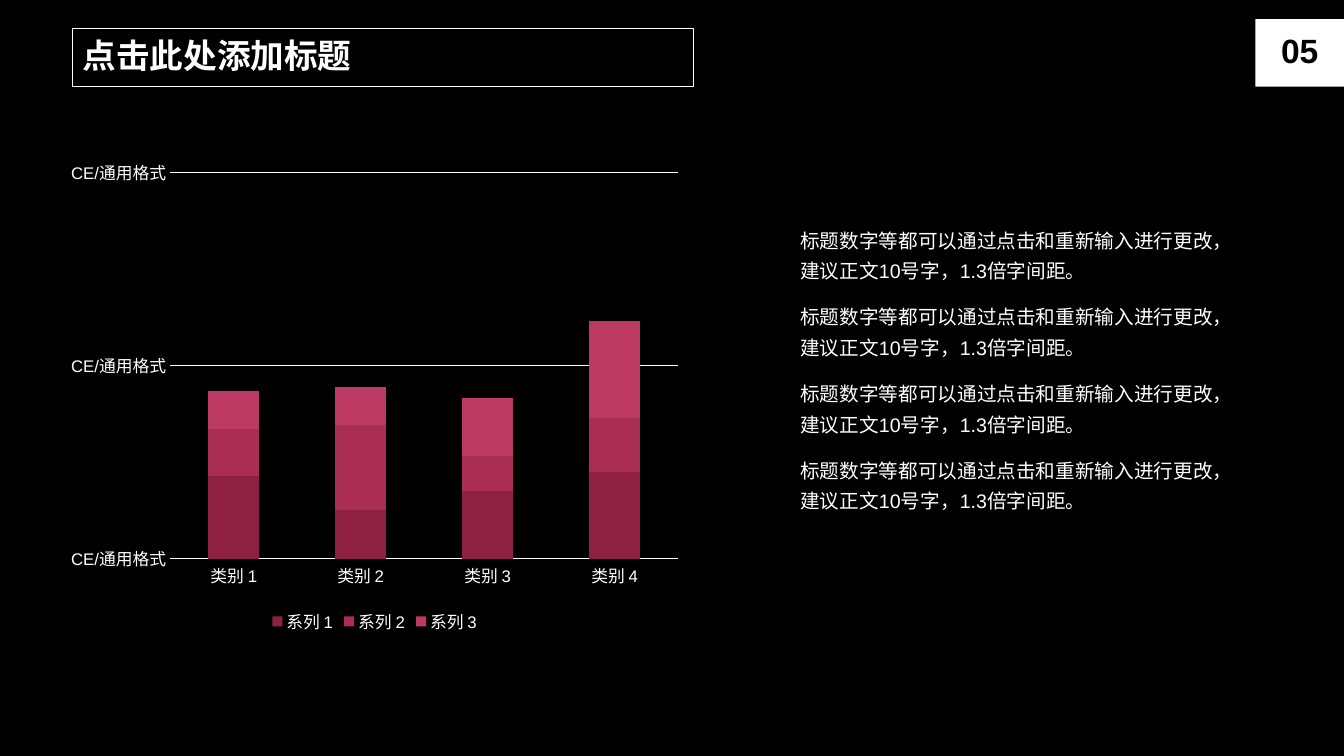
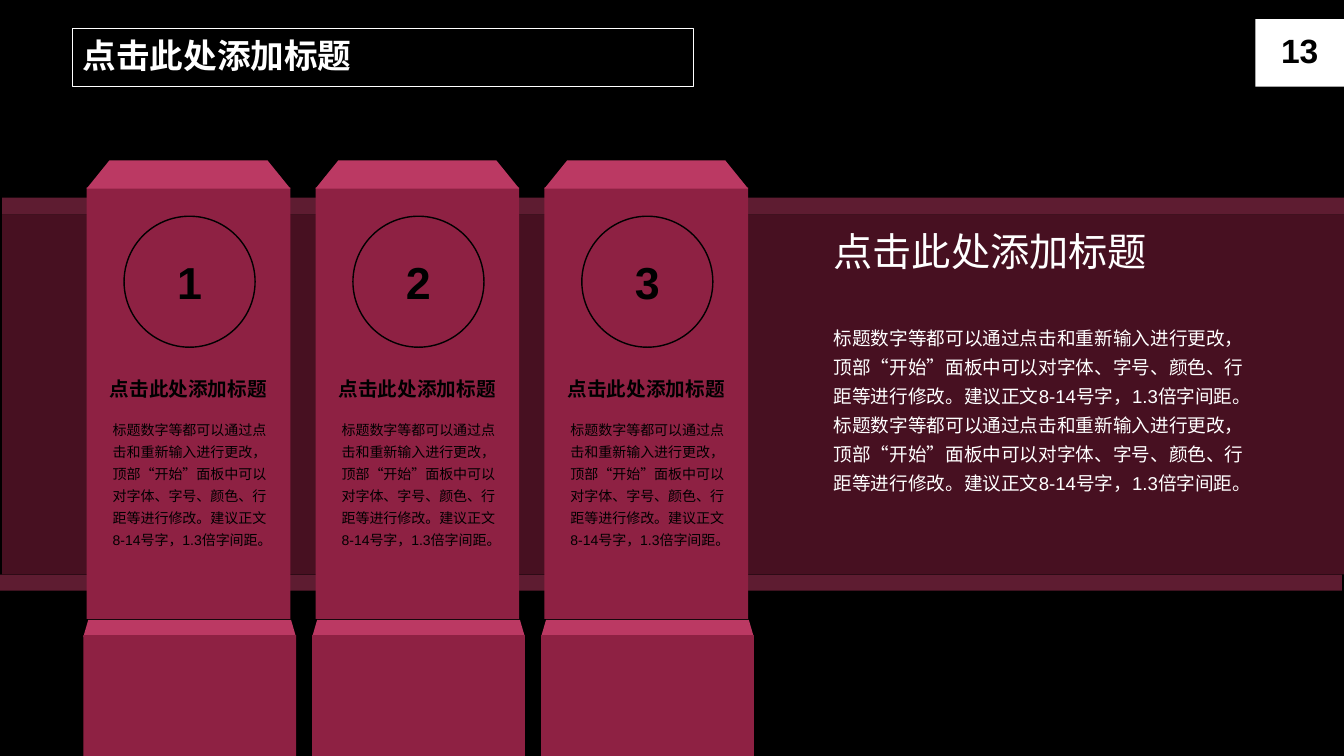
from pptx import Presentation
from pptx.chart.data import CategoryChartData
from pptx.dml.color import RGBColor
from pptx.enum.chart import XL_CHART_TYPE, XL_LEGEND_POSITION, XL_TICK_MARK
from pptx.enum.shapes import MSO_SHAPE
from pptx.enum.text import MSO_ANCHOR, MSO_AUTO_SIZE, PP_ALIGN
from pptx.util import Inches, Pt

BLACK, WHITE = "000000", "FFFFFF"
WINE, BERRY, ROSE = "8E2143", "A92D54", "BB3963"
EDGE, BAND = "5E1C31", "471021"
FONT = "Arial"
HEADING = "点击此处添加标题"
TIP = "标题数字等都可以通过点击和重新输入进行更改，建议正文10号字，1.3倍字间距。"
ADVICE = ("标题数字等都可以通过点击和重新输入进行更改，顶部“开始”面板中可以对字体、字号、颜色、"
          "行距等进行修改。建议正文8-14号字，1.3倍字间距。")

MIDDLE = {"word_wrap": True, "auto_size": MSO_AUTO_SIZE.NONE,
          "vertical_anchor": MSO_ANCHOR.MIDDLE}
BODY = {"word_wrap": True, "auto_size": MSO_AUTO_SIZE.SHAPE_TO_FIT_TEXT}
ONE_LINE = {"word_wrap": False, "auto_size": MSO_AUTO_SIZE.SHAPE_TO_FIT_TEXT}
LOOSE = {"line_spacing": 1.3}
TIGHT = {"line_spacing": 0.9, "space_before": Pt(10)}
LEFT = {"alignment": PP_ALIGN.LEFT}
CENTER = {"alignment": PP_ALIGN.CENTER}

prs = Presentation()
prs.slide_width, prs.slide_height = Inches(13.33), Inches(7.5)


def rgb(code):
    return RGBColor.from_string(code)


def put(sp, x, y, w, h, text="", size=14, color=WHITE, bold=False,
        frame=BODY, para=LOOSE, fill=None, line=None):
    sp.left, sp.width = (int(prs.slide_width * n / 100) for n in (x, w))
    sp.top, sp.height = (int(prs.slide_height * n / 100) for n in (y, h))
    if not sp.has_text_frame:
        return sp
    sp.shadow.inherit = False
    for fmt, code in ((sp.fill, fill), (sp.line.fill, line)):
        if code:
            fmt.solid()
            fmt.fore_color.rgb = rgb(code)
        else:
            fmt.background()
    if line:
        sp.line.width = Pt(1)
    if text:
        tf = sp.text_frame
        p = tf.paragraphs[0]
        r = p.add_run()
        r.text = text
        r.font.color.rgb = rgb(color)
        font = {"name": FONT, "size": Pt(size), "bold": bold}
        for obj, values in ((tf, frame), (p, para), (r.font, font)):
            for key, value in values.items():
                setattr(obj, key, value)
    return sp


prs.slide_master.background.fill.solid()
prs.slide_master.background.fill.fore_color.rgb = rgb(BLACK)

slides = []
for number in ("05", "13"):
    s = prs.slides.add_slide(prs.slide_layouts[5])
    put(s.shapes.title, 5.4, 3.73, 46.21, 7.73, HEADING, 24, bold=True,
        frame=MIDDLE, para=TIGHT | LEFT, line=WHITE)
    put(s.shapes.add_shape(MSO_SHAPE.RECTANGLE, 0, 0, 0, 0), 93.4, 2.53, 6.6, 8.93,
        number, 24, BLACK, True, MIDDLE, TIGHT | CENTER, WHITE)
    slides.append(s)

s = slides[0]
data = CategoryChartData()
data.categories = [f"类别 {n}" for n in range(1, 5)]
values = ((4.3, 2.5, 3.5, 4.5), (2.4, 4.4, 1.8, 2.8), (2, 2, 3, 5))
for n, row in enumerate(values, 1):
    data.add_series(f"系列 {n}", row)
gf = s.shapes.add_chart(XL_CHART_TYPE.COLUMN_STACKED, 0, 0, 0, 0, data)
chart = put(gf, 4.35, 19.87, 47.04, 64.53).chart
chart.has_title = False
chart.has_legend = True
chart.legend.position = XL_LEGEND_POSITION.BOTTOM
chart.legend.include_in_layout = False

plot = chart.plots[0]
plot.gap_width, plot.overlap, plot.vary_by_categories = 150, 100, False
for series, color in zip(plot.series, (WINE, BERRY, ROSE)):
    series.format.fill.solid()
    series.format.fill.fore_color.rgb = rgb(color)

cat, val = chart.category_axis, chart.value_axis
for axis in (cat, val):
    axis.major_tick_mark = axis.minor_tick_mark = XL_TICK_MARK.NONE
    axis.format.line.fill.background()
val.minimum_scale, val.maximum_scale, val.major_unit = 0, 20, 10
val.has_major_gridlines = True
val.major_gridlines.format.line.width = Pt(0.75)
val.major_gridlines.format.line.color.rgb = rgb(WHITE)
val.tick_labels.number_format = "G/通用格式"
val.tick_labels.number_format_is_linked = False
for font, size in ((chart.font, 10), (chart.legend.font, 12),
                   (cat.tick_labels.font, 12), (val.tick_labels.font, 12)):
    font.name, font.size = FONT, Pt(size)
    font.color.rgb = rgb(WHITE)

for i in range(4):
    put(s.shapes.add_textbox(0, 0, 0, 0), 58.81, 28.67 + 10.13 * i, 34.66, 9.07, TIP)

s = slides[1]
for x, y, h, color in ((0.15, 26.13, 2.27, EDGE), (0, 76, 2.13, EDGE),
                       (0.15, 28.4, 47.6, BAND)):
    put(s.shapes.add_shape(MSO_SHAPE.RECTANGLE, 0, 0, 0, 0), x, y, 99.85, h, fill=color)
put(s.shapes.add_textbox(0, 0, 0, 0), 61.29, 29.47, 25.06, 7.6, HEADING, 28,
    frame=ONE_LINE, para={})
put(s.shapes.add_textbox(0, 0, 0, 0), 61.29, 41.73, 32.11, 28.53, ADVICE * 2, 13.3)

pillar = (
    (MSO_SHAPE.RECTANGLE, 6.45, 24.8, 15.15, 57.07, WINE, None),
    (MSO_SHAPE.TRAPEZOID, 6.45, 21.2, 15.15, 3.73, ROSE, 0.81),
    (MSO_SHAPE.TRAPEZOID, 6.2, 82, 15.83, 2.27, ROSE, 0.29),
    (MSO_SHAPE.RECTANGLE, 6.2, 84, 15.83, 16, WINE, None),
)
for i in range(3):
    dx = 17.03 * i
    parts = []
    for kind, x, y, w, h, color, slant in pillar:
        sp = put(s.shapes.add_shape(kind, 0, 0, 0, 0), x + dx, y, w, h, fill=color)
        if slant:
            sp.adjustments[0] = slant
        parts.append(sp)
    s.shapes.add_group_shape(parts)
    put(s.shapes.add_shape(MSO_SHAPE.OVAL, 0, 0, 0, 0), 9.23 + dx, 28.6, 9.75, 17.33,
        str(i + 1), 32, BLACK, True, MIDDLE, CENTER, line=BLACK)
    put(s.shapes.add_textbox(0, 0, 0, 0), 7.43 + dx, 48.3, 13.28, 5.07,
        HEADING, 14, BLACK, True, ONE_LINE)
    put(s.shapes.add_textbox(0, 0, 0, 0), 7.65 + dx, 54.5, 12.98, 21.73,
        ADVICE, 10, BLACK)

prs.save("out.pptx")
